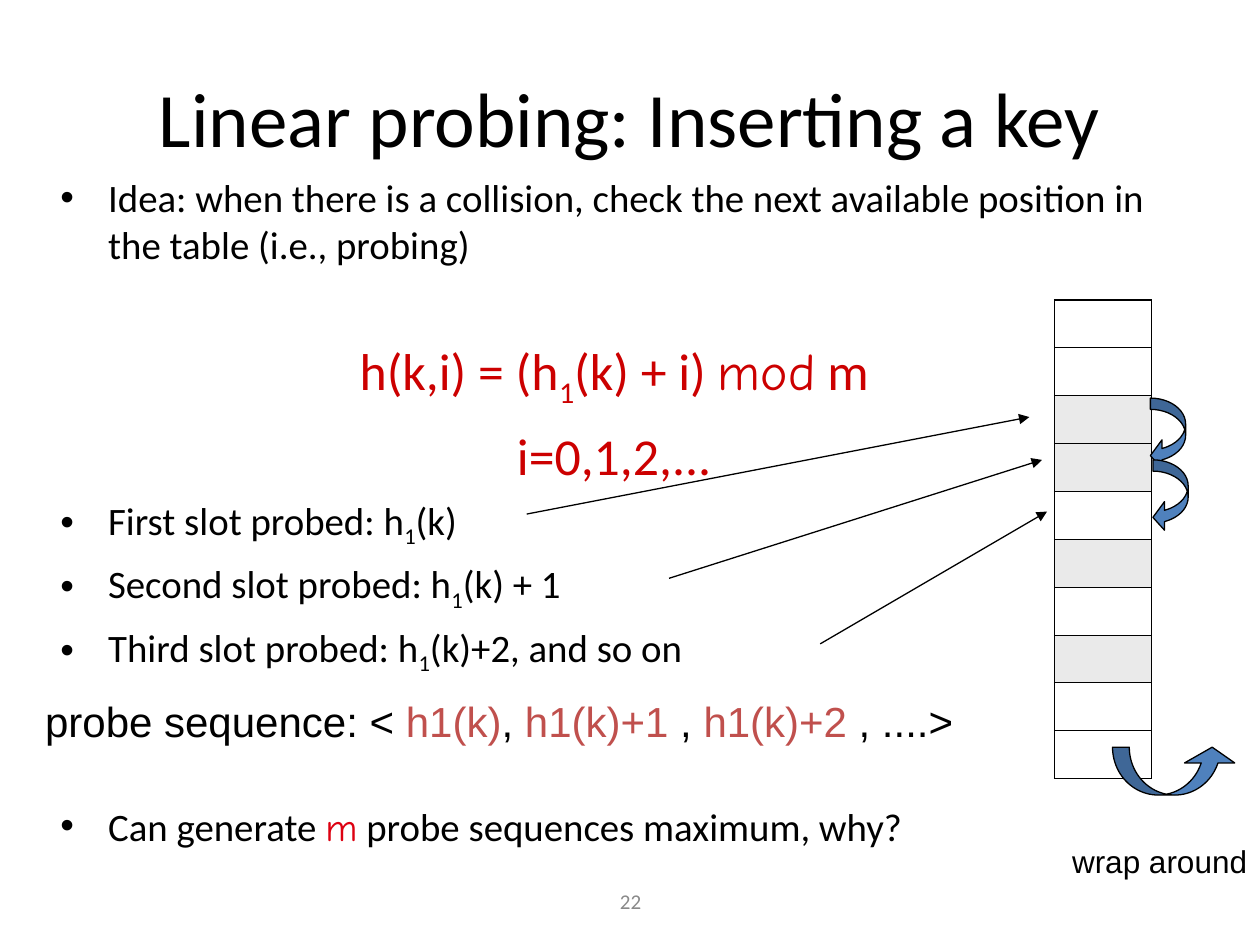
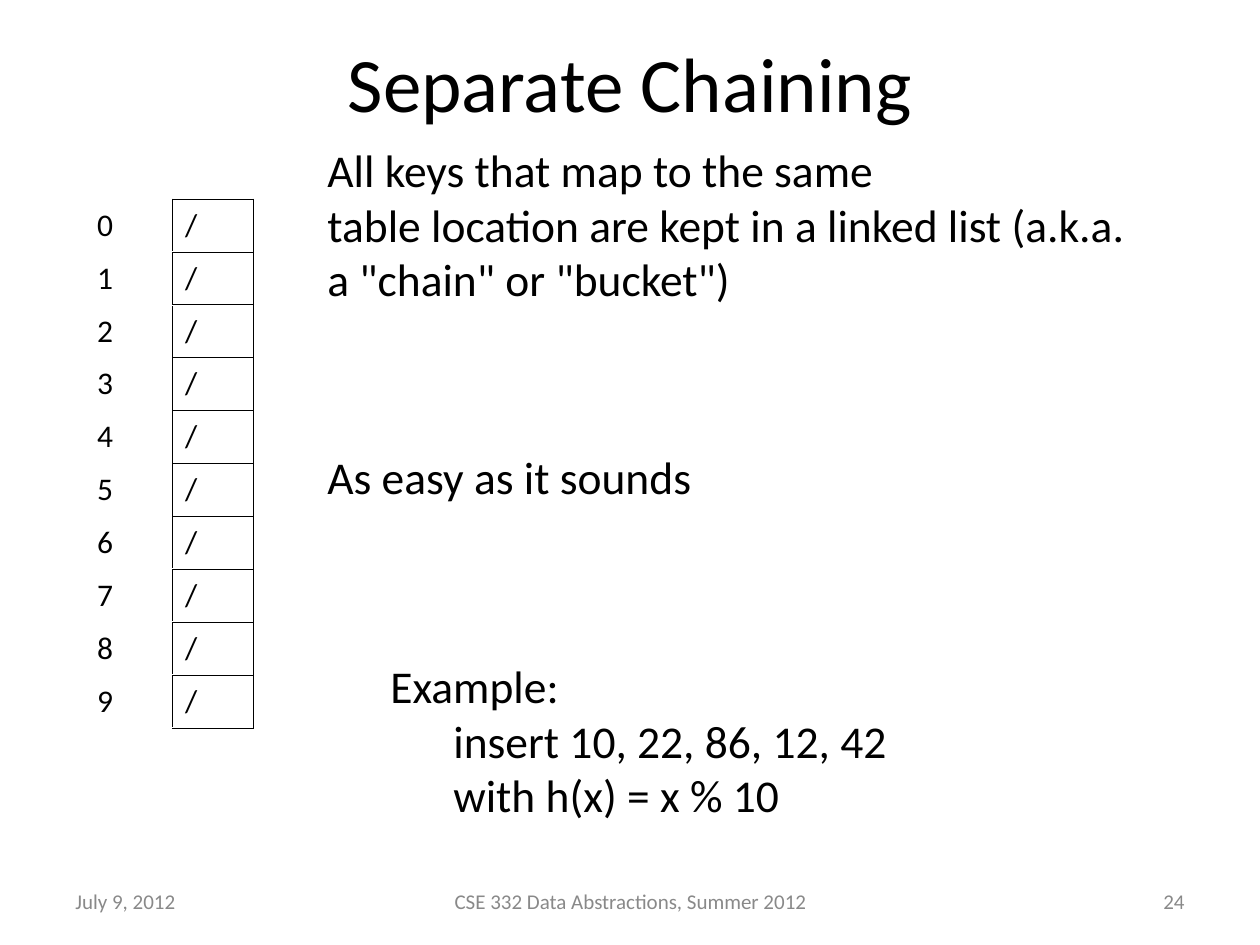
from lxml.etree import SubElement
from pptx import Presentation
from pptx.dml.color import RGBColor
from pptx.enum.shapes import MSO_CONNECTOR, MSO_SHAPE as Preset
from pptx.enum.text import MSO_ANCHOR as Anchor, PP_ALIGN as Align
from pptx.oxml.ns import qn
from pptx.util import Inches, Pt

COLORS = {
    "ink": "000000",
    "footer": "898989",
    "formula": "CC0000",
    "count": "DD0111",
    "probe": "C0504D",
    "occupied": "EAEAEA",
    "arrow": "4F81BD",
}
SANS, ROUND, PLAIN = "Calibri", "Comic Neue", "Arial"
THIN, THICK = 0.45, 1.08
FOOTER_PLACES = {
    "left": (0.5, 2.33, Align.LEFT),
    "center": (3.42, 3.17, Align.CENTER),
    "right": (7.17, 2.33, Align.RIGHT),
}


def color(name):
    return RGBColor.from_string(COLORS[name])


class SlideBuilder:
    def __init__(self, deck):
        self.deck = deck
        self.page = None

    def new_page(self, title, title_height):
        self.page = self.deck.slides.add_slide(self.deck.slide_layouts[6])
        frame = self.text_box(0.5, 0.3, 9, title_height, anchor=Anchor.MIDDLE)
        self.paragraph(frame, title, 44, align=Align.CENTER)

    def text_box(self, left, top, width, height, anchor=Anchor.TOP, wrap=True):
        box = self.page.shapes.add_textbox(
            Inches(left), Inches(top), Inches(width), Inches(height))
        frame = box.text_frame
        frame.word_wrap = wrap
        frame.vertical_anchor = anchor
        return frame

    def paragraph(self, frame, content, size, ink="ink", font=SANS, before=0,
                  align=Align.LEFT, indent=0, hanging=0, bullet=False):
        first = frame.paragraphs[0]
        para = frame.add_paragraph() if first.runs else first
        properties = para._p.get_or_add_pPr()
        properties.set("marL", str(Inches(indent)))
        properties.set("indent", str(-Inches(hanging)))
        if bullet:
            SubElement(properties, qn("a:buFont")).set("typeface", PLAIN)
            SubElement(properties, qn("a:buChar")).set("char", "•")
        para.alignment = align
        para.space_before = Pt(before)
        if isinstance(content, str):
            para.text = content
            styles = [{}] * len(para.runs)
        else:
            styles = [style for _, style in content]
            for text, _ in content:
                para.add_run().text = text
        for span, style in zip(para.runs, styles):
            span.font.size = Pt(size)
            span.font.name = style.get("font", font)
            span.font.color.rgb = color(style.get("ink", ink))
            if style.get("sub"):
                span._r.get_or_add_rPr().set("baseline", "-25000")

    def footer(self, place, text):
        left, width, align = FOOTER_PLACES[place]
        frame = self.text_box(left, 6.95, width, 0.4, anchor=Anchor.MIDDLE)
        self.paragraph(frame, text, 12, "footer", align=align)

    def table(self, left, top, widths, row_height, row_count):
        shape = self.page.shapes.add_table(
            row_count, len(widths), Inches(left), Inches(top),
            Inches(sum(widths)), Inches(row_height * row_count))
        table = shape.table
        table.first_row = table.horz_banding = False
        for column, width in zip(table.columns, widths):
            column.width = Inches(width)
        for row in table.rows:
            row.height = Inches(row_height)
            for cell in row.cells:
                cell.fill.background()
                cell.vertical_anchor = Anchor.MIDDLE
        return table

    def borders(self, cell, **weights):
        properties = cell._tc.get_or_add_tcPr()
        for position, side in enumerate(side for side in "LRTB" if side in weights):
            line = properties.makeelement(
                qn(f"a:ln{side}"), {"w": str(Pt(weights[side]))})
            fill = SubElement(line, qn("a:solidFill"))
            SubElement(fill, qn("a:srgbClr")).set("val", COLORS["ink"])
            properties.insert(position, line)

    def arrow(self, start, end):
        line = self.page.shapes.add_connector(
            MSO_CONNECTOR.STRAIGHT, *(Inches(value) for value in (*start, *end)))
        line.line.color.rgb = color("ink")
        line.line.width = Pt(0.75)
        SubElement(line.line._get_or_add_ln(), qn("a:tailEnd")).set("type", "triangle")
        SubElement(line._element.spPr, qn("a:effectLst"))

    def curved_arrow(self, preset, left, top, width, height, adjustments):
        shape = self.page.shapes.add_shape(
            preset, Inches(left), Inches(top), Inches(width), Inches(height))
        for index, value in enumerate(adjustments):
            shape.adjustments[index] = value
        shape.shadow.inherit = False
        shape.fill.solid()
        shape.fill.fore_color.rgb = color("arrow")
        shape.line.color.rgb = color("ink")
        shape.line.width = Pt(0.75)


def build_linear_probing(builder):
    builder.new_page("Linear probing: Inserting a key", 1.25)
    builder.footer("center", "22")

    body = builder.text_box(0.38, 1.33, 8.99, 5.55)
    hanging = {"indent": 0.38, "hanging": 0.38}
    point = {"size": 22.2, "bullet": True, **hanging}
    formula = {"size": 29.6, "ink": "formula", "align": Align.CENTER, **hanging}
    subscript = ("1", {"sub": True})
    builder.paragraph(body, "Idea: when there is a collision, check the next "
                      "available position in the table (i.e., probing)", **point)
    builder.paragraph(body, [("h(k,i) = (h", {}), subscript, ("(k) + i) ", {}),
                             ("mod", {"font": ROUND}), (" m", {})],
                      before=41, **formula)
    builder.paragraph(body, "i=0,1,2,...", before=8, **formula)
    for order, ending in (("First", "(k)"), ("Second", "(k) + 1"),
                          ("Third", "(k)+2, and so on")):
        builder.paragraph(body, [(f"{order} slot probed: h", {}), subscript,
                                 (ending, {})], before=6, **point)
    builder.paragraph(body, [("Can generate ", {}),
                             ("m", {"font": ROUND, "ink": "count"}),
                             (" probe sequences maximum, why?", {})],
                      before=72, **point)

    row_count, occupied = 10, (2, 3, 5, 7)
    slots = builder.table(8.37, 2.38, [0.77], 0.38, row_count)
    for index in range(row_count):
        slots.rows[index].height = Inches(3.8 / row_count)
        cell = slots.cell(index, 0)
        cell.margin_top = cell.margin_bottom = 0
        if index in occupied:
            cell.fill.solid()
            cell.fill.fore_color.rgb = color("occupied")
        builder.borders(cell, L=THICK, R=THICK,
                        T=THICK if index == 0 else THIN,
                        B=THICK if index == row_count - 1 else THIN)

    for left, top in ((9.13, 3.16), (9.15, 3.65)):
        builder.curved_arrow(Preset.CURVED_LEFT_ARROW, left, top, 0.28, 0.57,
                             (0.32, 0.81, 0.33))

    sequence = builder.text_box(0.26, 5.47, 7.41, 0.5, wrap=False)
    probe = {"ink": "probe"}
    builder.paragraph(sequence, [("probe sequence: < ", {}), ("h1(k)", probe),
                                 (", ", {}), ("h1(k)+1", probe), (" , ", {}),
                                 ("h1(k)+2", probe), (" , ....>", {})],
                      24, font=PLAIN)

    for start, end in (((4.18, 4.08), (8.17, 3.31)),
                       ((5.31, 4.59), (8.27, 3.65)),
                       ((6.51, 5.11), (8.31, 4.06))):
        builder.arrow(start, end)

    builder.curved_arrow(Preset.CURVED_UP_ARROW, 8.83, 5.93, 0.99, 0.38,
                         (0.35, 1.05, 0.33))
    label = builder.text_box(8.41, 6.63, 1.59, 0.4, wrap=False)
    builder.paragraph(label, "wrap around", 18, font=PLAIN)


def build_separate_chaining(builder):
    builder.new_page("Separate Chaining", 0.7)
    builder.footer("left", "July 9, 2012")
    builder.footer("center", "CSE 332 Data Abstractions, Summer 2012")
    builder.footer("right", "24")

    row_count = 10
    buckets = builder.table(0.67, 1.58, [0.7, 0.64], 0.42, row_count)
    for index in range(row_count):
        number, bucket = buckets.rows[index].cells
        builder.paragraph(number.text_frame, str(index), 18)
        builder.paragraph(bucket.text_frame, "/", 18)
        builder.borders(number, R=THIN)
        builder.borders(bucket, L=THIN, R=THIN, T=THIN, B=THIN)

    body = builder.text_box(2.5, 1.08, 6.64, 6)
    builder.paragraph(body, "All keys that map to the same\vtable location are kept "
                      'in a linked list (a.k.a. a "chain" or "bucket")', 26)
    builder.paragraph(body, "As easy as it sounds", 26, before=82)
    builder.paragraph(body, "Example:\v\tinsert 10, 22, 86, 12, 42\v\twith h(x) = x % 10",
                      26, before=88, indent=0.5)


def main():
    deck = Presentation()
    deck.slide_width, deck.slide_height = Inches(10), Inches(7.5)
    builder = SlideBuilder(deck)
    build_linear_probing(builder)
    build_separate_chaining(builder)
    deck.save("out.pptx")


if __name__ == "__main__":
    main()
